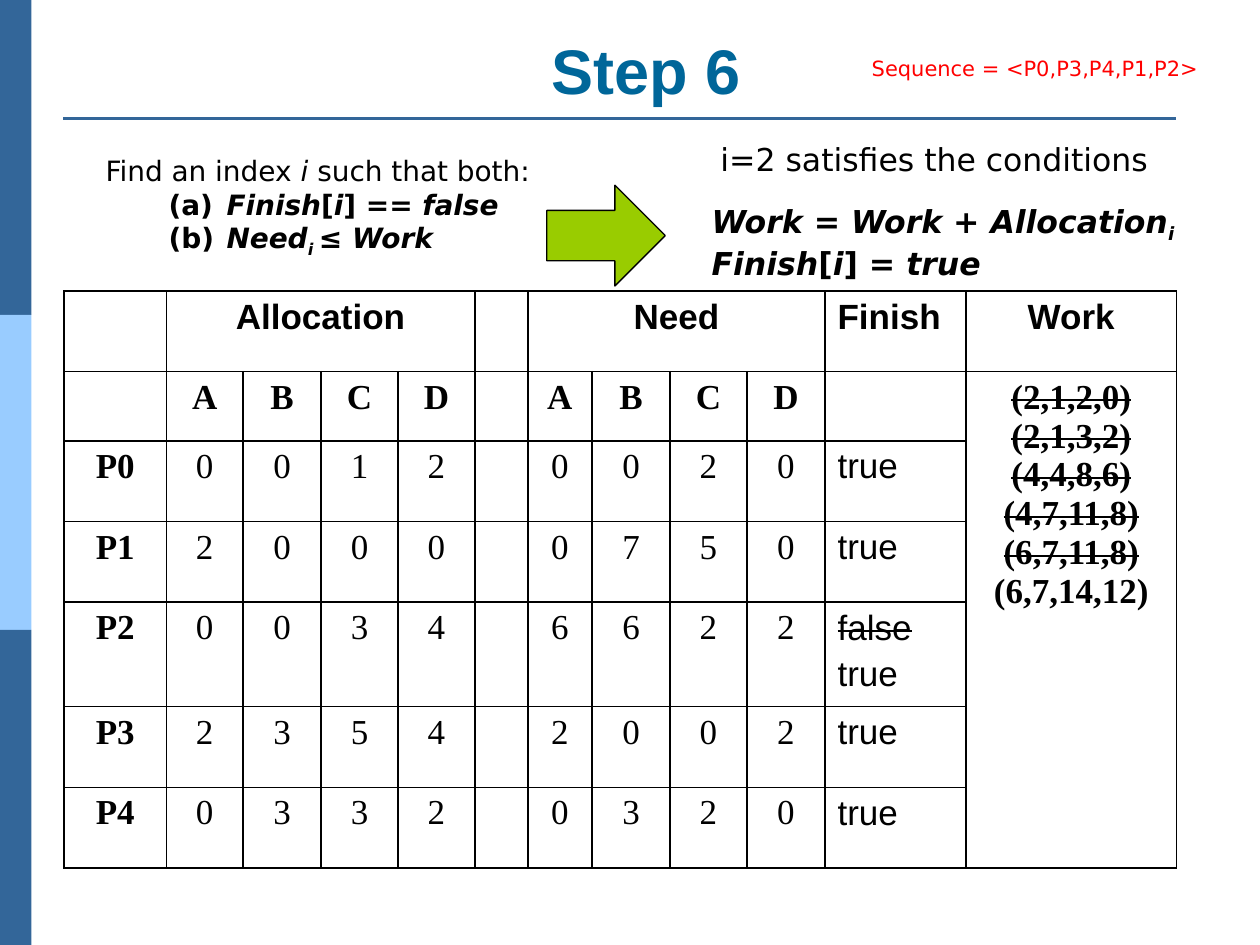
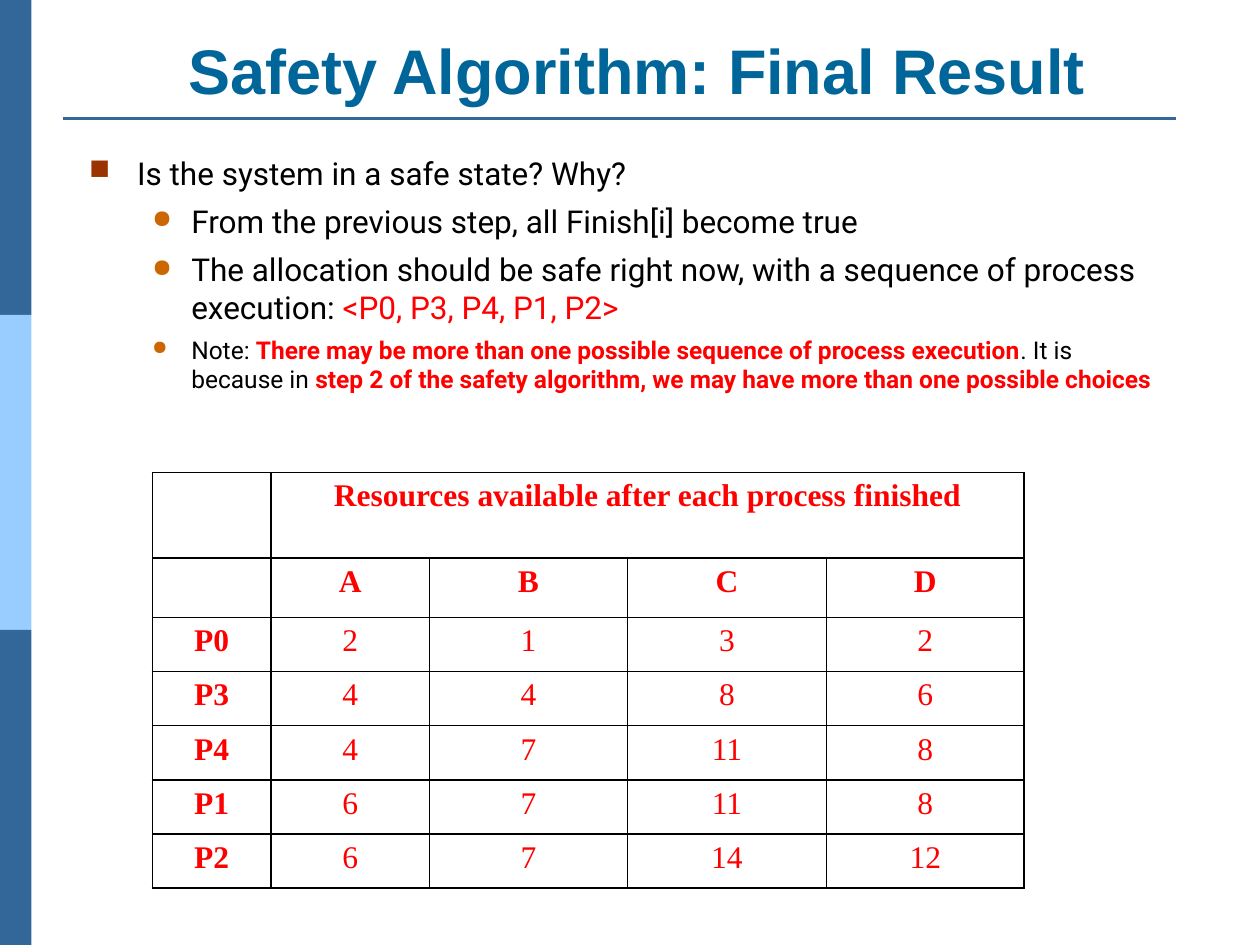
"""Build two slides that close the safety algorithm example."""
from lxml import etree
from pptx import Presentation
from pptx import util as u
from pptx.dml.color import RGBColor
from pptx.enum import shapes, text
from pptx.oxml import ns

HUE = {"dark": "336699", "pale": "99CCFF", "title": "006699", "ink": "000000",
       "red": "FF0000", "arrow": "99CC00", "square": "993300", "dot": "CC6600"}
MID = text.PP_ALIGN.CENTER
LEFT = text.PP_ALIGN.LEFT


def put(frame, paras, font="DejaVu Sans", size=18, hue="ink", bold=False, align=LEFT, wrap=True):
    """Write paragraphs of (words, marks) runs: b bold, i italic, s struck, r red, _ sub."""
    frame.word_wrap = wrap
    for n, runs in enumerate(paras):
        par = frame.add_paragraph() if n else frame.paragraphs[0]
        par.alignment = align
        for words, marks in [(runs, "")] if isinstance(runs, str) else runs:
            if words == "\v":
                par.add_line_break()
                continue
            run = par.add_run()
            run.text = words
            run.font.name, run.font.size = font, u.Pt(size)
            run.font.bold = bold or "b" in marks
            run.font.italic = "i" in marks
            run.font.color.rgb = RGBColor.from_string(HUE["red" if "r" in marks else hue])
            props = run._r.get_or_add_rPr()
            if "s" in marks:
                props.set("strike", "sngStrike")
            if "_" in marks:
                props.set("baseline", "-25000")
    return frame.paragraphs


def grid(page, left, top, cols, rows, data, spans, size, hue, sans=()):
    """Draw a ruled table; sans holds the columns set in Arial."""
    table = page.shapes.add_table(len(rows), len(cols), u.Inches(left), u.Inches(top),
                                  u.Inches(sum(cols)), u.Inches(sum(rows))).table
    table.first_row = table.horz_banding = False
    for col, wide in zip(table.columns, cols):
        col.width = u.Inches(wide)
    for row, high in zip(table.rows, rows):
        row.height = u.Inches(high)
    for r, line in enumerate(data):
        for c, item in enumerate(line):
            cell = table.cell(r, c)
            props = cell._tc.get_or_add_tcPr()
            for side in "LRTB":
                edge = etree.SubElement(props, ns.qn("a:ln" + side), w="12700")
                fill = etree.SubElement(edge, ns.qn("a:solidFill"))
                etree.SubElement(fill, ns.qn("a:srgbClr"), val=HUE["ink"])
            cell.fill.background()
            if item:
                face = "Arial" if sans and (r == 0 or c in sans) else "Times New Roman"
                pars = put(cell.text_frame, [item] if isinstance(item, str) else item, face, size,
                           hue, r < 2 or c in (0, 11), LEFT if c in sans else MID)
                for par in pars[1:] if c in sans else ():
                    par.space_before = u.Pt(4)
    for r, c, end, last in spans:
        table.cell(r, c).merge(table.cell(end, last))


deck = Presentation()
deck.slide_width, deck.slide_height = u.Inches(10), u.Inches(7.5)
pages = []
for title in ("Step 6", "Safety Algorithm: Final Result "):
    page = deck.slides.add_slide(deck.slide_layouts[6])
    pages.append(page)
    for n, hue in enumerate(("dark", "pale", "dark")):
        band = page.shapes.add_shape(shapes.MSO_SHAPE.RECTANGLE, 0, u.Inches(2.5 * n),
                                     u.Inches(0.25), u.Inches(2.5))
        band.shadow.inherit = False
        band.fill.solid()
        band.fill.fore_color.rgb = RGBColor.from_string(HUE[hue])
        band.line.fill.background()
    rule = page.shapes.add_connector(shapes.MSO_CONNECTOR.STRAIGHT, u.Inches(0.5), u.Inches(0.94),
                                     u.Inches(9.33), u.Inches(0.94))
    rule.line.color.rgb = RGBColor.from_string(HUE["dark"])
    rule.line.width = u.Pt(1.5)
    etree.SubElement(rule._element.spPr, ns.qn("a:effectLst"))
    head = page.shapes.add_textbox(u.Inches(0.51), u.Inches(0.17), u.Inches(9.23), u.Inches(0.73))
    head.text_frame.vertical_anchor = text.MSO_ANCHOR.BOTTOM
    put(head.text_frame, [title], "Arial", 36, "title", True, MID)

step, final = pages
find = [
    [("Find an index ", ""), ("i ", "i"), ("such that both:", "")],
    [("(a)\t", "b"), ("Finish", "bi"), ("[", "b"), ("i", "bi"), ("] == ", "b"), ("false", "bi")],
    [("(b)\t", "b"), ("Need", "bi"), ("i ", "bi_"), ("≤ ", "b"), ("Work", "bi")],
]
work = [[("Work", "bi"), (" = ", "b"), ("Work", "bi"), (" + ", "b"), ("Allocation", "bi"),
         ("i", "bi_"), ("\v", ""), ("Finish", "bi"), ("[", "b"), ("i", "bi"), ("] = ", "b"),
         ("true", "bi")]]
for left, top, wide, high, paras, look in (
        (6.82, 0.39, 2.85, 0.3, ["Sequence = <P0,P3,P4,P1,P2>"],
         dict(size=12, hue="red", wrap=False)),
        (0.74, 1.17, 5, 0.91, find, dict(size=16)),
        (5.62, 1.06, 3.63, 0.4, ["i=2 satisfies the conditions"], dict(wrap=False)),
        (5.55, 1.55, 3.98, 0.71, work, {})):
    box = step.shapes.add_textbox(u.Inches(left), u.Inches(top), u.Inches(wide), u.Inches(high))
    pars = put(box.text_frame, paras, **look)
    for par in pars[1:]:
        props = par._p.get_or_add_pPr()
        props.set("marL", str(u.Inches(0.96)))
        props.set("indent", str(u.Inches(-0.46)))

arrow = step.shapes.add_shape(shapes.MSO_SHAPE.RIGHT_ARROW, u.Inches(4.34), u.Inches(1.47),
                              u.Inches(0.94), u.Inches(0.8))
arrow.shadow.inherit = False
arrow.fill.solid()
arrow.fill.fore_color.rgb = RGBColor.from_string(HUE["arrow"])
arrow.line.color.rgb = RGBColor.from_string(HUE["ink"])
arrow.line.width = u.Pt(0.75)

past = ("(2,1,2,0)", "(2,1,3,2)", "(4,4,8,6)", "(4,7,11,8)", "(6,7,11,8)")
free = [[(item, "s")] for item in past] + ["(6,7,14,12)"]
data = [["", "Allocation", "", "", "", "", "Need", "", "", "", "Finish", "Work"],
        ["", *"ABCD", "", *"ABCD", "", free]]
for n, (held, need) in enumerate((("0012", "0020"), ("2000", "0750"), ("0034", "6622"),
                                  ("2354", "2002"), ("0332", "0320"))):
    done = [[("false", "s")], "true"] if n == 2 else "true"
    data.append([f"P{n}", *held, "", *need, done, ""])
grid(step, 0.51, 2.31, [0.81, 0.61, 0.62, 0.61, 0.61, 0.42, 0.51, 0.62, 0.61, 0.62, 1.12, 1.67],
     [0.64, 0.55, 0.64, 0.64, 0.83, 0.64, 0.64], data,
     [(0, 1, 0, 4), (0, 6, 0, 9), (1, 11, 6, 11)], 20, "ink", (10,))

box = final.shapes.add_textbox(u.Inches(0.61), u.Inches(1.17), u.Inches(8.65), u.Inches(2.08))
pars = put(box.text_frame, [
    "Is the system in a safe state? Why?",
    "From the previous step, all Finish[i] become true",
    [("The allocation should be safe right now, with a sequence of process execution: ", ""),
     ("<P0, P3, P4, P1, P2>", "r")],
    [("Note: ", ""),
     ("There may be more than one possible sequence of process execution", "br"),
     (". It is because in ", ""),
     ("step 2 of the safety algorithm, we may have more than one possible choices", "br")],
], "Roboto")
for n, par in enumerate(pars):
    par.level = min(n, 1)
    if n:
        par.space_before = u.Pt(5 if n == 3 else 6)
    edge, hang, hue, part, sign = ((0.81, 0.31, "dot", 80, "●") if n else
                                   (0.38, 0.38, "square", 90, "■"))
    props = par._p.get_or_add_pPr()
    props.set("marL", str(u.Inches(edge)))
    props.set("indent", str(u.Inches(-hang)))
    tint = etree.SubElement(props, ns.qn("a:buClr"))
    etree.SubElement(tint, ns.qn("a:srgbClr"), val=HUE[hue])
    etree.SubElement(props, ns.qn("a:buSzPct"), val=str(part * 1000))
    etree.SubElement(props, ns.qn("a:buChar"), char=sign)
for run in pars[3].runs:
    run.font.size = u.Pt(14)

data = [["", "Resources available after each process finished", "", "", ""], ["", *"ABCD"]]
for line in ("P0 2 1 3 2", "P3 4 4 8 6", "P4 4 7 11 8", "P1 6 7 11 8", "P2 6 7 14 12"):
    data.append(line.split())
grid(final, 1.21, 3.75, [0.94, 1.26, 1.57, 1.58, 1.57], [0.68, 0.47] + [0.43] * 5,
     data, [(0, 1, 0, 4)], 18, "red")

deck.save("out.pptx")
